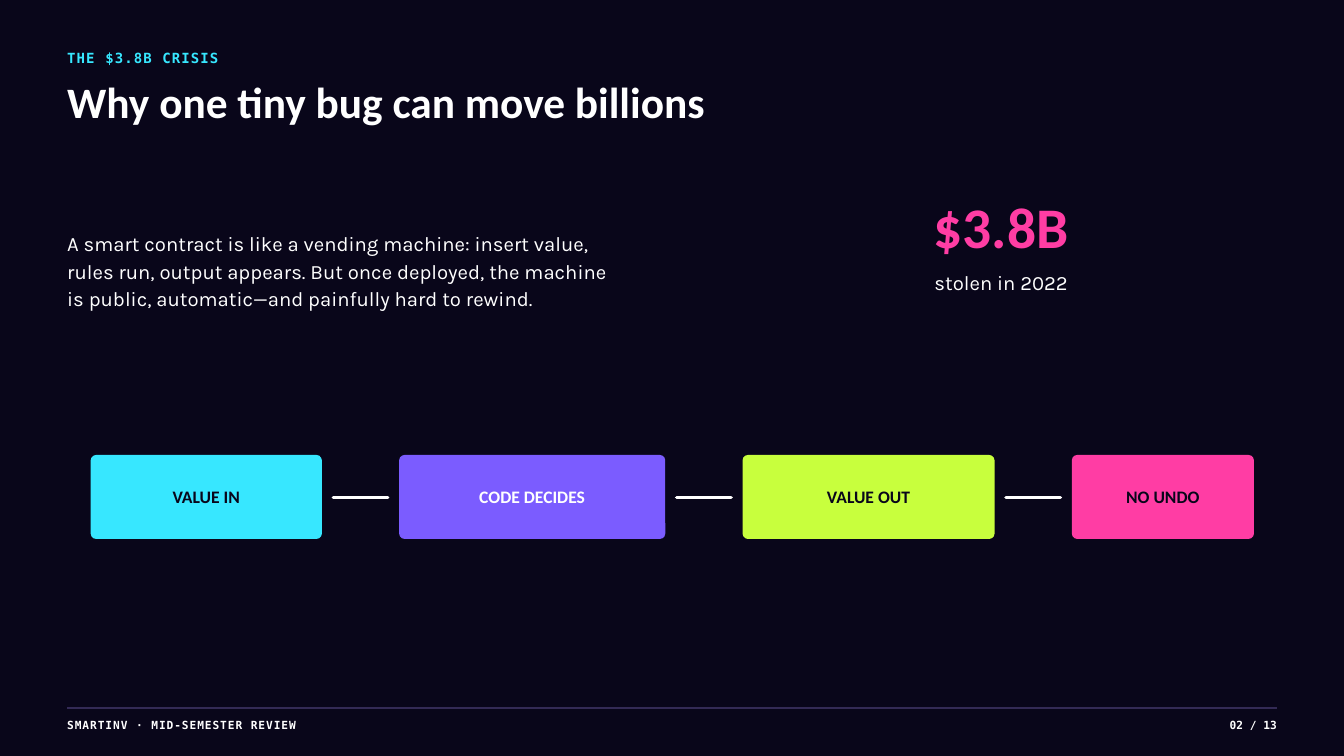
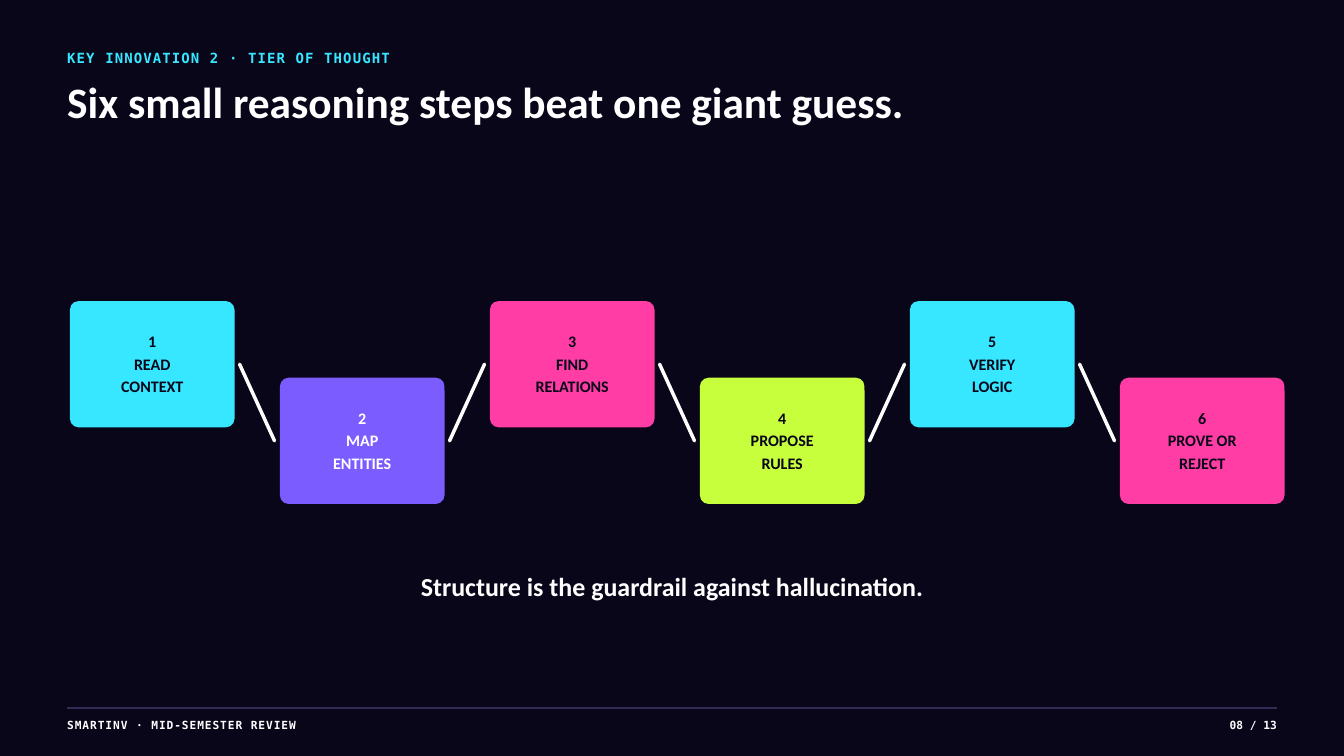
from lxml import etree
from pptx import Presentation
from pptx.dml.color import RGBColor
from pptx.enum.shapes import MSO_CONNECTOR, MSO_SHAPE
from pptx.enum.text import MSO_ANCHOR, MSO_AUTO_SIZE, PP_ALIGN
from pptx.oxml.ns import qn
from pptx.util import Inches, Pt

LEFT, MID, RIGHT = PP_ALIGN.LEFT, PP_ALIGN.CENTER, PP_ALIGN.RIGHT
TOP, CENTER = MSO_ANCHOR.TOP, MSO_ANCHOR.MIDDLE
FIT = MSO_AUTO_SIZE.SHAPE_TO_FIT_TEXT
STRAIGHT, ROUNDED = MSO_CONNECTOR.STRAIGHT, MSO_SHAPE.ROUNDED_RECTANGLE

HEAD, BODY, MONO = "Calibri", "Karla", "DejaVu Sans Mono"
HUES = {
    "night": "09061A",
    "white": "FFFFFF",
    "cyan": "37E7FF",
    "violet": "7B5CFF",
    "lime": "C8FF3D",
    "pink": "FF3DA4",
    "rule": "332A55",
}
COLORS = {name: RGBColor.from_string(code) for name, code in HUES.items()}


def write(text, slide=None, box=None, shape=None, size=12, lead=16.8, font=HEAD,
          color="white", bold=True, align=LEFT, space=0):
    """Fill the given shape, or a new text box, with one paragraph per line."""
    if shape is None:
        shape = slide.shapes.add_textbox(*map(Inches, box))
        frame = shape.text_frame
        frame.margin_left = frame.margin_right = 0
        frame.margin_top = frame.margin_bottom = 0
        frame.vertical_anchor = TOP
        frame.auto_size = FIT
    frame = shape.text_frame
    frame.word_wrap = True
    for i, line in enumerate(text.split("\n")):
        para = frame.add_paragraph() if i else frame.paragraphs[0]
        para.alignment = align
        para.line_spacing = Pt(lead)
        run = para.add_run()
        run.text = line
        run.font.name = font
        run.font.size = Pt(size)
        run.font.bold = bold
        run.font.color.rgb = COLORS[color]
        if space:
            run.font._element.set("spc", str(round(space * 100)))


def rule(slide, ends, color="white", width=3.75, cap="rnd"):
    line = slide.shapes.add_connector(STRAIGHT, *map(Inches, ends))
    line.line.color.rgb = COLORS[color]
    line.line.width = Pt(width)
    line.line._get_or_add_ln().set("cap", cap)
    etree.SubElement(line._element.spPr, qn("a:effectLst"))


deck = Presentation()
deck.slide_width, deck.slide_height = Inches(20), Inches(11.25)

# Shared frame: background, titles and footer
pages = [
    ("THE $3.8B CRISIS", "Why one tiny bug can move billions", "02 / 13"),
    ("KEY INNOVATION 2 · TIER OF THOUGHT",
     "Six small reasoning steps beat one giant guess.", "08 / 13"),
]
slides = []
for label, title, page in pages:
    slide = deck.slides.add_slide(deck.slide_layouts[6])
    slide.background.fill.solid()
    slide.background.fill.fore_color.rgb = COLORS["night"]
    write(label, slide, (1, 0.7, 9.38, 0.28), size=15, lead=21, font=MONO,
          color="cyan", space=1.2)
    write(title, slide, (1, 1.22, 16.15, 0.81), size=46.5, lead=48.8)
    rule(slide, (1, 10.54, 19, 10.54), color="rule", width=2, cap="flat")
    write("SMARTINV · MID-SEMESTER REVIEW", slide, (1, 10.66, 7.29, 0.21),
          font=MONO, space=1)
    write(page, slide, (18.12, 10.66, 0.88, 0.21), font=MONO, align=RIGHT)
    slides.append(slide)
crisis, tiers = slides

# Crisis: story and figure
write("A smart contract is like a vending machine: insert value, rules run, output "
      "appears. But once deployed, the machine is public, automatic—and painfully "
      "hard to rewind.", crisis, (1, 3.4, 8.33, 1.22),
      size=21.8, lead=29.4, font=BODY, bold=False)
write("$3.8B", crisis, (11.67, 3.02, 6.46, 1.02), size=61.5, lead=61.5,
      color="pink", align=MID)
write("stolen in 2022", crisis, (11.67, 3.97, 6.46, 0.4), size=21.8, lead=29.4,
      font=BODY, bold=False, align=MID)

# Crisis: chain of cards with equal gaps
cards = []
flow = [
    ("VALUE IN", "cyan", 3.44),
    ("CODE DECIDES", "violet", 3.96),
    ("VALUE OUT", "lime", 3.75),
    ("NO UNDO", "pink", 2.71),
]
gap, inset = 1.15, 0.17
left = 1.35
for i, (text, fill, width) in enumerate(flow):
    if i:
        rule(crisis, (left - gap + inset, 7.4, left - inset, 7.4))
    cards.append((crisis, text, fill, (left, 6.77, width, 1.25), 0.08, 18.8, 26.2))
    left += width + gap

# Tiers: steps that go down and up by turns
steps = [
    ("READ\nCONTEXT", "cyan"),
    ("MAP\nENTITIES", "violet"),
    ("FIND\nRELATIONS", "pink"),
    ("PROPOSE\nRULES", "lime"),
    ("VERIFY\nLOGIC", "cyan"),
    ("PROVE OR\nREJECT", "pink"),
]
pitch, wide, tall = 25 / 8, 2.45, 1.88
tops = (4.48, 5.62)
for i, (text, fill) in enumerate(steps):
    left, top, prior = 1.04 + i * pitch, tops[i % 2], tops[(i + 1) % 2]
    if i:
        rule(tiers, (left - 0.6, prior + tall / 2, left - 0.08, top + tall / 2))
    cards.append((tiers, f"{i + 1}\n{text}", fill, (left, top, wide, tall),
                  0.13, 17.2, 24.1))
write("Structure is the guardrail against hallucination.", tiers,
      (4.17, 8.42, 11.67, 0.58), size=27.8, lead=38.8, align=MID)

# Cards of both slides
for slide, text, fill, box, radius, size, lead in cards:
    card = slide.shapes.add_shape(ROUNDED, *map(Inches, box))
    card.adjustments[0] = radius / min(box[2:])
    card.shadow.inherit = False
    card.fill.solid()
    card.fill.fore_color.rgb = COLORS[fill]
    card.line.fill.background()
    frame = card.text_frame
    frame.vertical_anchor = CENTER
    frame.margin_left = frame.margin_right = frame.margin_top = Inches(0.06)
    frame.margin_bottom = Inches(0.12)
    write(text, shape=card, size=size, lead=lead, align=MID,
          color="white" if fill == "violet" else "night")

deck.save("out.pptx")
